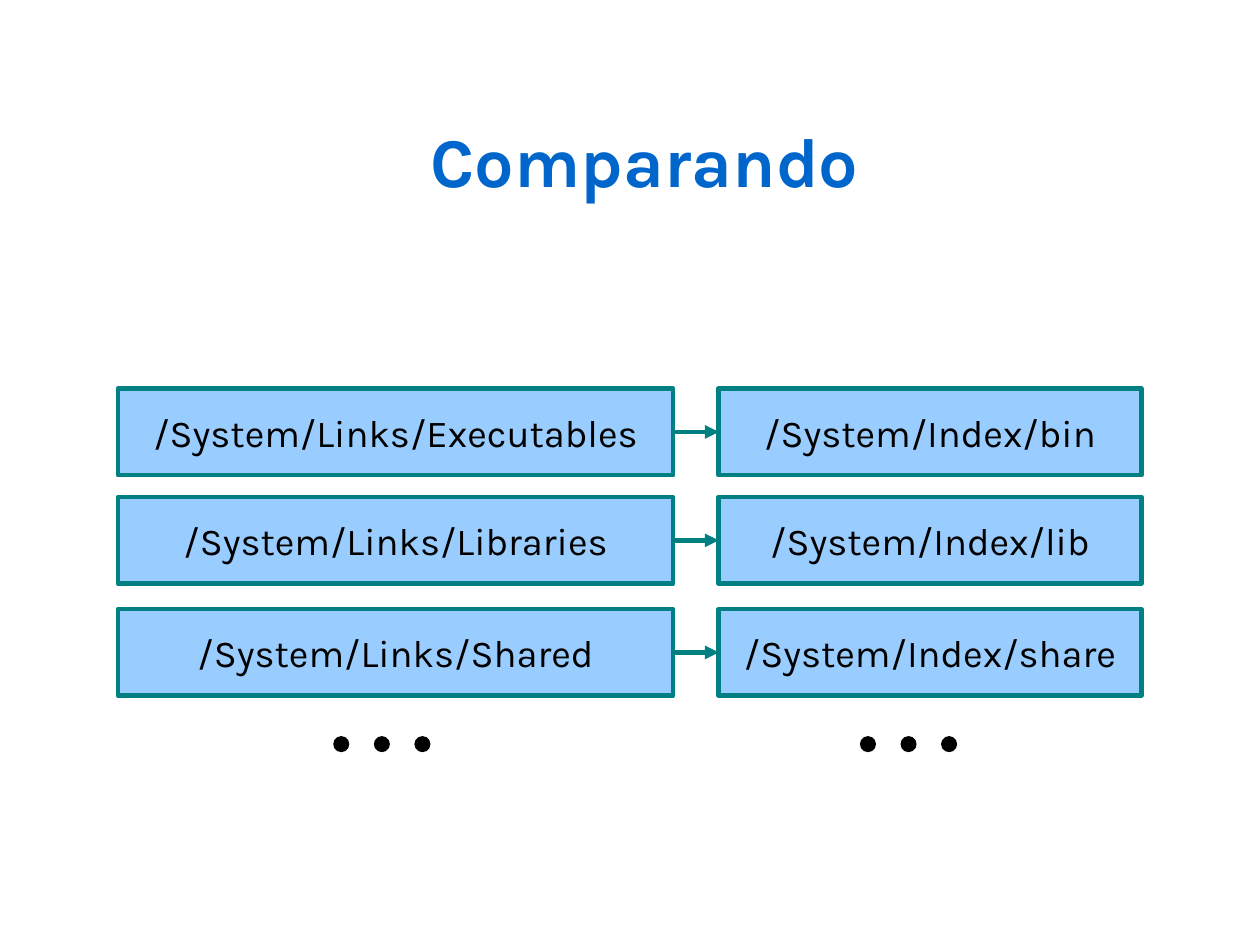
"""Build the slide that pairs the Links folders with the Index folders."""
from dataclasses import dataclass

from lxml import etree
from pptx import Presentation
from pptx.dml.color import RGBColor
from pptx.enum.shapes import MSO_CONNECTOR, MSO_SHAPE
from pptx.enum.text import MSO_ANCHOR, MSO_AUTO_SIZE, PP_ALIGN
from pptx.oxml.ns import qn
from pptx.shapes.autoshape import Shape
from pptx.slide import Slide
from pptx.util import Cm, Emu, Inches, Pt

RECTANGLE, OVAL = MSO_SHAPE.RECTANGLE, MSO_SHAPE.OVAL
STRAIGHT = MSO_CONNECTOR.STRAIGHT
MIDDLE, CENTER, NO_FIT = MSO_ANCHOR.MIDDLE, PP_ALIGN.CENTER, MSO_AUTO_SIZE.NONE
SLIDE_WIDTH, SLIDE_HEIGHT = Cm(28), Cm(21)
TITLE_ONLY = 5
LEFT_SITE, RIGHT_SITE = 1, 3
FONT = "Karla"
TITLE_BLUE, BOX_BLUE, TEAL, BLACK, WHITE = "0066CC", "99CCFF", "008080", "000000", "FFFFFF"
LINE_WIDTH = Pt(2.89)
BOX_HEIGHT = 9.17
DOT_TOP, DOT_WIDTH, DOT_HEIGHT, DOT_STEP = 77.96, 1.18, 1.57, 3.22
DOTS_PER_COLUMN = 3


@dataclass(frozen=True)
class Column:
    """A folder tree, placed in percent of the slide width."""
    left: float
    width: float
    first_dot: float


@dataclass(frozen=True)
class Mapping:
    """A folder and its counterpart, with the row top in percent of the slide height."""
    top: float
    link: str
    index: str


LINKS = Column(9.36, 44.07, 26.5)
INDEX = Column(57.04, 33.54, 68.3)
MAPPINGS = (
    Mapping(41.12, "/System/Links/Executables", "/System/Index/bin"),
    Mapping(52.6, "/System/Links/Libraries", "/System/Index/lib"),
    Mapping(64.46, "/System/Links/Shared", "/System/Index/share"),
)


def across(percent: float) -> Emu:
    """Return a share of the slide width."""
    return Emu(round(SLIDE_WIDTH * percent / 100))


def down(percent: float) -> Emu:
    """Return a share of the slide height."""
    return Emu(round(SLIDE_HEIGHT * percent / 100))


def paint(color_format, color: str) -> None:
    """Set a colour from a hex string."""
    color_format.rgb = RGBColor.from_string(color)


def write(holder: Shape, text: str, size: float, color: str, bold: bool, inset: float) -> None:
    """Write one centred line of text."""
    frame = holder.text_frame
    frame.text = text
    frame.word_wrap = True
    frame.auto_size = NO_FIT
    frame.vertical_anchor = MIDDLE
    frame.margin_left = frame.margin_right = Inches(inset)
    frame.margin_top = frame.margin_bottom = Inches(inset)
    line = frame.paragraphs[0]
    line.alignment = CENTER
    font = line.runs[0].font
    font.name, font.size, font.bold = FONT, Pt(size), bold
    paint(font.color, color)


def add_title(slide: Slide, text: str) -> None:
    """Place and format the slide title."""
    title = slide.shapes.title
    title.left, title.top = across(6.79), down(10.64)
    title.width, title.height = across(88.78), down(12.45)
    write(title, text, 44, TITLE_BLUE, True, 0)


def add_folder(slide: Slide, column: Column, top: float, folder: str) -> Shape:
    """Draw a box that holds a folder."""
    box = slide.shapes.add_shape(
        RECTANGLE, across(column.left), down(top), across(column.width), down(BOX_HEIGHT))
    box.shadow.inherit = False
    box.fill.solid()
    paint(box.fill.fore_color, BOX_BLUE)
    paint(box.line.color, TEAL)
    box.line.width = LINE_WIDTH
    write(box, folder, 24, BLACK, False, 0.02)
    return box


def add_arrow(slide: Slide, source: Shape, target: Shape) -> None:
    """Join two folders with an arrow."""
    arrow = slide.shapes.add_connector(STRAIGHT, 0, 0, 0, 0)
    arrow.begin_connect(source, RIGHT_SITE)
    arrow.end_connect(target, LEFT_SITE)
    paint(arrow.line.color, TEAL)
    arrow.line.width = LINE_WIDTH
    outline = arrow.line._get_or_add_ln()
    etree.SubElement(outline, qn("a:tailEnd"), type="triangle")
    etree.SubElement(outline.getparent(), qn("a:effectLst"))


def add_ellipsis(slide: Slide, column: Column) -> None:
    """Draw the dots that continue a column."""
    for position in range(DOTS_PER_COLUMN):
        dot = slide.shapes.add_shape(
            OVAL, across(column.first_dot + position * DOT_STEP), down(DOT_TOP),
            across(DOT_WIDTH), down(DOT_HEIGHT))
        dot.shadow.inherit = False
        dot.fill.solid()
        paint(dot.fill.fore_color, BLACK)
        paint(dot.line.color, BLACK)
        dot.line.width = Pt(0)


def main() -> None:
    """Build and save the slide."""
    deck = Presentation()
    deck.slide_width, deck.slide_height = SLIDE_WIDTH, SLIDE_HEIGHT
    slide = deck.slides.add_slide(deck.slide_layouts[TITLE_ONLY])
    slide.background.fill.solid()
    paint(slide.background.fill.fore_color, WHITE)
    add_title(slide, "Comparando")
    for mapping in MAPPINGS:
        link = add_folder(slide, LINKS, mapping.top, mapping.link)
        index = add_folder(slide, INDEX, mapping.top, mapping.index)
        add_arrow(slide, link, index)
    for column in (LINKS, INDEX):
        add_ellipsis(slide, column)
    deck.save("out.pptx")


if __name__ == "__main__":
    main()
